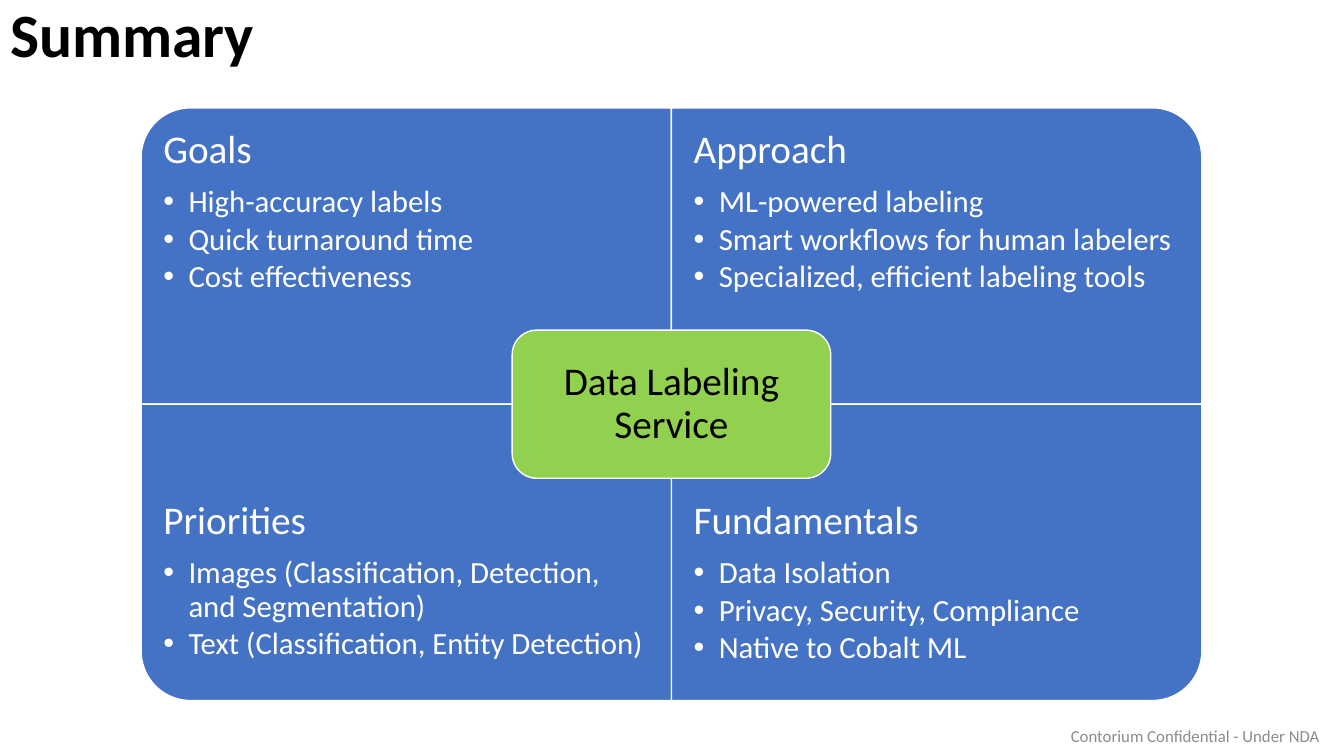
from lxml import etree
from pptx import Presentation
from pptx import util as u
from pptx.dml.color import RGBColor
from pptx.enum import shapes, text
from pptx.oxml.ns import qn

# Content: heading, bullet lines, column, row, rotation of the rounded corner
TITLE = "Summary"
HUB = "Data Labeling Service"
FOOTER = "Contorium Confidential - Under NDA"
QUADRANTS = [
    ("Goals", ["High-accuracy labels", "Quick turnaround time",
               "Cost effectiveness"], 0, 0, 270),
    ("Approach", ["ML-powered labeling", "Smart workflows for human labelers",
                  "Specialized, efficient labeling tools"], 1, 0, 0),
    ("Priorities", ["Images (Classification, Detection, and Segmentation)",
                    "Text (Classification, Entity Detection)"], 0, 1, 180),
    ("Fundamentals", ["Data Isolation", "Privacy, Security, Compliance",
                      "Native to Cobalt ML"], 1, 1, 90),
]

BLACK = RGBColor(0x00, 0x00, 0x00)
WHITE = RGBColor(0xFF, 0xFF, 0xFF)
GREY = RGBColor(0x8C, 0x8C, 0x8C)
BLUE = RGBColor(0x44, 0x72, 0xC4)
GREEN = RGBColor(0x92, 0xD0, 0x50)

# Layout in px, 100 to the inch
PX = 9144
LEFT, TOP = 140, 107
CELL_W, CELL_H = 526, 294
TEXT_H = 220
HUB_W, HUB_H = 316, 147
INDENT = 25

LEFT_ALIGN, CENTER = text.PP_ALIGN.LEFT, text.PP_ALIGN.CENTER
MIDDLE = text.MSO_ANCHOR.MIDDLE
HEADING = {"line_spacing": 0.9, "space_after": u.Pt(10)}
BULLET = {"line_spacing": 0.9, "space_after": u.Pt(3)}


def px(*lengths):
    return [round(length * PX) for length in lengths]


def set_frame(frame, inset, anchor, wrap=True):
    margin = inset * PX
    values = {"word_wrap": wrap, "vertical_anchor": anchor,
              "auto_size": text.MSO_AUTO_SIZE.NONE,
              "margin_left": margin, "margin_right": margin,
              "margin_top": margin, "margin_bottom": margin}
    for name, value in values.items():
        setattr(frame, name, value)


def write(paragraph, words, size, color, align=LEFT_ALIGN, bold=False, spacing=None):
    paragraph.alignment = align
    for name, value in (spacing or {}).items():
        setattr(paragraph, name, value)
    run = paragraph.add_run()
    run.text = words
    for name, value in {"name": "Calibri", "size": u.Pt(size), "bold": bold}.items():
        setattr(run.font, name, value)
    run.font.color.rgb = color


def add_bullet(paragraph):
    properties = paragraph._p.get_or_add_pPr()
    properties.set("marL", str(INDENT * PX))
    properties.set("indent", str(-INDENT * PX))
    etree.SubElement(properties, qn("a:buFont")).set("typeface", "Arial")
    etree.SubElement(properties, qn("a:buChar")).set("char", "•")


def add_panel(slide, kind, box, fill, rotation=0):
    shape = slide.shapes.add_shape(kind, *px(*box))
    shape.shadow.inherit = False
    shape.rotation = rotation
    shape.fill.solid()
    shape.fill.fore_color.rgb = fill
    shape.line.color.rgb = WHITE
    shape.line.width = u.Pt(1)
    return shape


def add_quadrant(slide, heading, lines, column, row, rotation):
    left, top = LEFT + column * CELL_W, TOP + row * CELL_H
    # A quarter turn swaps width and height around the cell's centre
    width, height = (CELL_H, CELL_W) if rotation % 180 else (CELL_W, CELL_H)
    box = (left + (CELL_W - width) / 2, top + (CELL_H - height) / 2, width, height)
    add_panel(slide, shapes.MSO_SHAPE.ROUND_1_RECTANGLE, box, BLUE, rotation)

    text_top = top + row * (CELL_H - TEXT_H)
    frame = slide.shapes.add_textbox(*px(left, text_top, CELL_W, TEXT_H)).text_frame
    set_frame(frame, 22, text.MSO_ANCHOR.TOP)
    write(frame.paragraphs[0], heading, 28, WHITE, spacing=HEADING)
    for line in lines:
        paragraph = frame.add_paragraph()
        write(paragraph, line, 22, WHITE, spacing=BULLET)
        add_bullet(paragraph)


def main():
    presentation = Presentation()
    presentation.slide_width, presentation.slide_height = px(1333, 750)
    slide = presentation.slides.add_slide(presentation.slide_layouts[5])

    # Title
    title = slide.shapes.title
    title.left, title.top, title.width, title.height = px(0, -18, 1150, 110)
    set_frame(title.text_frame, 10, MIDDLE)
    write(title.text_frame.paragraphs[0], TITLE, 44, BLACK, bold=True,
          spacing={"line_spacing": 0.9})

    # Footer
    footer = slide.shapes.add_textbox(*px(1053, 710, 265, 40)).text_frame
    set_frame(footer, 5, MIDDLE, wrap=False)
    write(footer.paragraphs[0], FOOTER, 12, GREY, CENTER)

    # Four quadrants
    for quadrant in QUADRANTS:
        add_quadrant(slide, *quadrant)

    # Hub over the point where the quadrants meet
    box = (LEFT + CELL_W - HUB_W / 2, TOP + CELL_H - HUB_H / 2, HUB_W, HUB_H)
    hub = add_panel(slide, shapes.MSO_SHAPE.ROUNDED_RECTANGLE, box, GREEN)
    set_frame(hub.text_frame, 12, MIDDLE)
    write(hub.text_frame.paragraphs[0], HUB, 28, BLACK, CENTER, spacing=HEADING)

    presentation.save("out.pptx")


if __name__ == "__main__":
    main()
